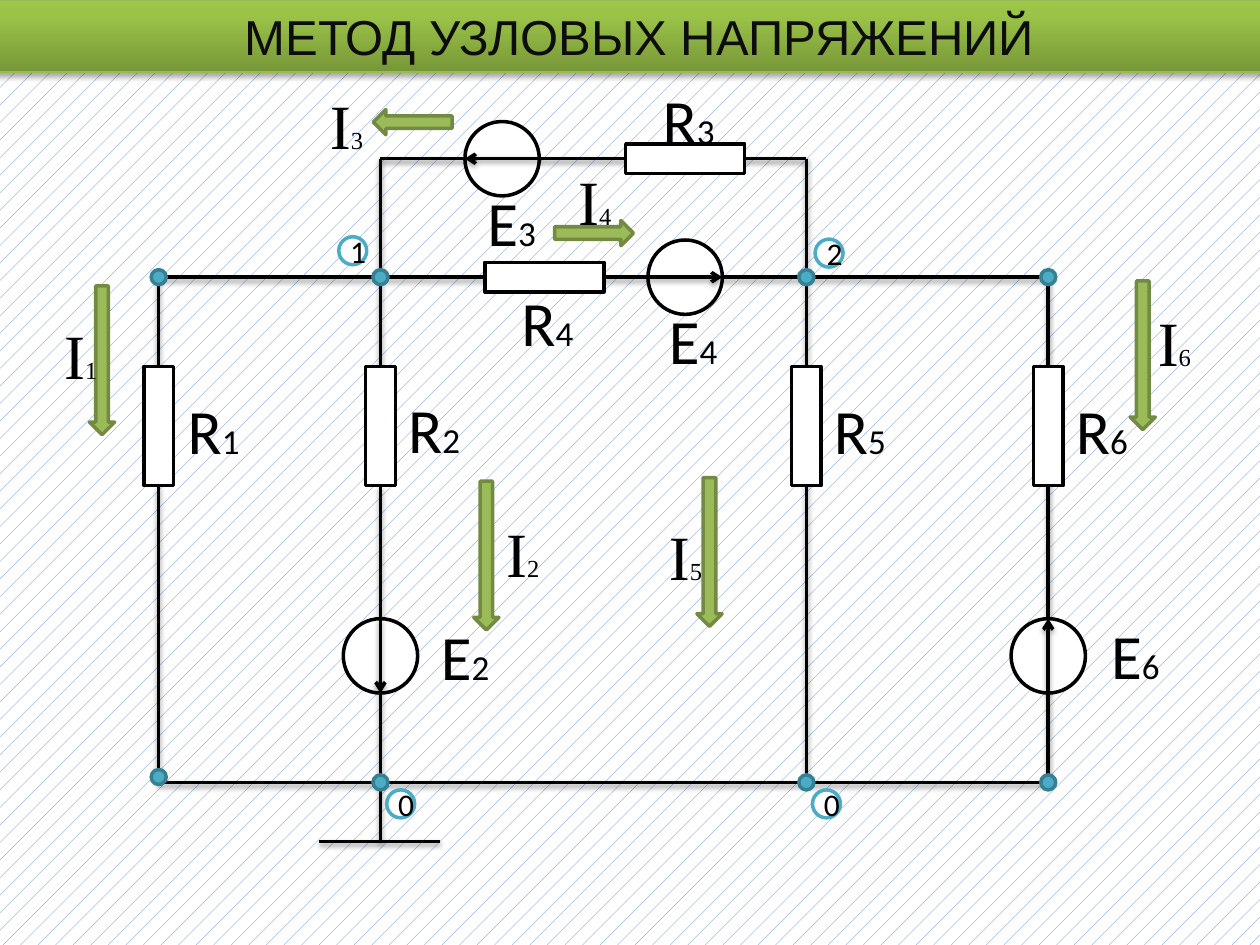
from copy import deepcopy
from dataclasses import dataclass

from pptx import Presentation
from pptx.dml.color import RGBColor
from pptx.enum.dml import MSO_PATTERN
from pptx.enum.shapes import MSO_CONNECTOR, MSO_SHAPE
from pptx.enum.text import MSO_ANCHOR, MSO_AUTO_SIZE, PP_ALIGN
from pptx.oxml import parse_xml
from pptx.oxml.ns import nsdecls, qn
from pptx.util import Pt


@dataclass(frozen=True)
class Theme:
    ink: str = "000000"
    paper: str = "FFFFFF"
    hatch: str = "4F81BD"
    title_ink: str = "0D0D0D"
    title_edge: str = "98B955"
    title_stops: tuple = ((0, "779737"), (0.8, "9BC348"), (1, "9DC746"))
    node: str = "4BACC6"
    node_edge: str = "377F92"
    current: str = "9BBB59"
    current_edge: str = "738A42"
    title_size: int = 28
    symbol_size: int = 36
    index_size: int = 20
    current_index_size: int = 14
    badge_size: int = 18
    stroke: float = 2


THEME = Theme()

# Circuit grid: four branches, and the levels they run between
X1, X2, X5, X6 = 90.7, 217.4, 460.8, 599
TOP, MIDDLE, BOTTOM, GROUND = 90.7, 158.4, 447.1, 481
RESISTOR_W, RESISTOR_L = 17, 68
SOURCE_D, NODE_D, BADGE_D = 42.5, 8.6, 16
RESISTOR_Y, SOURCE_Y = 243.4, 374.8
R4_X, E3_X, R3_X = 311, 286.9, 391.5
E4_X = R3_X
RESISTOR_TOP, RESISTOR_END = RESISTOR_Y - RESISTOR_L / 2, RESISTOR_Y + RESISTOR_L / 2
SOURCE_R = SOURCE_D / 2
SOURCE_TOP, SOURCE_END = SOURCE_Y - SOURCE_R, SOURCE_Y + SOURCE_R

WIRES = [
    (X1, MIDDLE, X1, RESISTOR_TOP), (X1, RESISTOR_END, X1, BOTTOM),
    (X1, BOTTOM, X6, BOTTOM),
    (X2, SOURCE_END, X2, GROUND), (X2, RESISTOR_END, X2, SOURCE_TOP),
    (X2, TOP, X2, RESISTOR_TOP), (X1, MIDDLE, X6, MIDDLE),
    (X5, TOP, X5, BOTTOM), (X6, MIDDLE, X6, BOTTOM), (X2, TOP, X5, TOP),
    (X2 - 35, GROUND, X2 + 34, GROUND),
]
# Centre and rotation
RESISTORS = [(x, RESISTOR_Y, 0) for x in (X1, X2, X5, X6)]
RESISTORS += [(R4_X, MIDDLE, 90), (R3_X, TOP, 90)]
# Centre and direction of the electromotive force
SOURCES = [(X2, SOURCE_Y, 0, 1), (E4_X, MIDDLE, 1, 0),
           (X6, SOURCE_Y, 0, -1), (E3_X, TOP, -1, 0)]
NODES = [(x, MIDDLE) for x in (X1, X2, X5, X6)]
NODES += [(X1, 444), (X2, BOTTOM), (X5, BOTTOM), (X6, BOTTOM)]
# Centre, length and rotation
CURRENTS = [(235.8, 69.8, 45, 180), (277.9, 317.5, 85, 90), (58.3, 205.9, 85, 90),
            (405.4, 315.4, 85, 90), (653, 203, 85, 90), (339.5, 133.2, 45, 0)]
# Symbol, index, left and top
LABELS = [
    ("R", "1", 100.1, 220.3), ("R", "2", 226.1, 219.6), ("R", "5", 469.4, 220.3),
    ("R", "6", 607.7, 220.3), ("R", "4", 290.9, 158.4), ("R", "3", 371.5, 43.2),
    ("E", "2", 244.8, 349.2), ("E", "6", 627.8, 348.5), ("E", "4", 375.1, 168.5),
    ("E", "3", 271.4, 101.5),
    ("I", "1", 29.5, 177.1), ("I", "2", 282.2, 290.2), ("I", "5", 375.1, 292.3),
    ("I", "3", 181.4, 46.1), ("I", "6", 654.5, 169.9), ("I", "4", 323.3, 89.3),
]
LABEL_WIDTHS = {"R": 44.6, "E": 42.5, "I": 34}
BADGES = [("1", 201.6, 143.3), ("2", 473.8, 144.7),
          ("0", 229, 459.4), ("0", 472.3, 459.4)]


def rgb(value):
    return RGBColor.from_string(value)


def write(paragraph, text, *, size, font="Calibri", color=THEME.ink, align=None):
    run = paragraph.add_run()
    run.text = text
    run.font.size = Pt(size)
    run.font.name = font
    run.font.color.rgb = rgb(color)
    if align is not None:
        paragraph.alignment = align


def cast_shadow(properties, opacity, distance):
    """Put a soft downward shadow into the shape properties."""
    for effects in properties.findall(qn("a:effectLst")):
        properties.remove(effects)
    properties.append(parse_xml(
        f'<a:effectLst {nsdecls("a")}><a:outerShdw blurRad="{Pt(3.1)}" '
        f'dist="{Pt(distance)}" dir="5400000" rotWithShape="0"><a:srgbClr val="000000">'
        f'<a:alpha val="{opacity * 1000}"/></a:srgbClr></a:outerShdw></a:effectLst>'))


def add_wire(slide, x1, y1, x2, y2, arrow=False):
    wire = slide.shapes.add_connector(
        MSO_CONNECTOR.STRAIGHT, Pt(x1), Pt(y1), Pt(x2), Pt(y2))
    wire.line.color.rgb = rgb(THEME.ink)
    wire.line.width = Pt(THEME.stroke)
    if arrow:
        wire.line._get_or_add_ln().append(
            parse_xml(f'<a:tailEnd {nsdecls("a")} type="arrow"/>'))
    cast_shadow(wire._element.spPr, 38, 1.6)


def add_part(slide, kind, x, y, width, height, *, fill=THEME.paper, edge=THEME.ink,
             rotation=0):
    """Add a filled shape around the centre x, y."""
    part = slide.shapes.add_shape(
        kind, Pt(x - width / 2), Pt(y - height / 2), Pt(width), Pt(height))
    part.rotation = rotation
    part.shadow.inherit = False
    part.fill.solid()
    part.fill.fore_color.rgb = rgb(fill)
    part.line.color.rgb = rgb(edge)
    part.line.width = Pt(THEME.stroke)
    return part


def add_title(slide, text):
    banner = add_part(slide, MSO_SHAPE.RECTANGLE, 365.4, 20.6, 748, 41.2,
                      edge=THEME.title_edge)
    banner.line.width = Pt(0.75)
    banner.fill.gradient()
    banner.fill.gradient_angle = 90
    stop_list = banner._element.spPr.find(".//" + qn("a:gsLst"))
    stop_list.append(deepcopy(stop_list[-1]))
    for stop, (position, color) in zip(banner.fill.gradient_stops, THEME.title_stops):
        stop.position = position
        stop.color.rgb = rgb(color)
    cast_shadow(banner._element.spPr, 35, 1.8)
    frame = banner.text_frame
    frame.vertical_anchor = MSO_ANCHOR.TOP
    frame.auto_size = MSO_AUTO_SIZE.SHAPE_TO_FIT_TEXT
    write(frame.paragraphs[0], text, size=THEME.title_size, font="Arial",
          color=THEME.title_ink, align=PP_ALIGN.CENTER)


def add_label(slide, symbol, index, left, top):
    label = slide.shapes.add_textbox(
        Pt(left), Pt(top), Pt(LABEL_WIDTHS[symbol]), Pt(51))
    frame = label.text_frame
    frame.word_wrap = False
    frame.auto_size = MSO_AUTO_SIZE.SHAPE_TO_FIT_TEXT
    is_current = symbol == "I"
    font = "Times New Roman" if is_current else "Calibri"
    index_size = THEME.current_index_size if is_current else THEME.index_size
    write(frame.paragraphs[0], symbol, size=THEME.symbol_size, font=font)
    write(frame.paragraphs[0], index, size=index_size, font=font)


def add_badge(slide, number, x, y):
    badge = add_part(slide, MSO_SHAPE.OVAL, x, y, BADGE_D, BADGE_D, edge=THEME.node)
    badge.text_frame.vertical_anchor = MSO_ANCHOR.MIDDLE
    write(badge.text_frame.paragraphs[0], number, size=THEME.badge_size,
          align=PP_ALIGN.CENTER)


def main():
    deck = Presentation()
    deck.slide_width, deck.slide_height = Pt(720), Pt(540)
    slide = deck.slides.add_slide(deck.slide_layouts[6])
    backdrop = slide.background.fill
    backdrop.patterned()
    backdrop.pattern = MSO_PATTERN.PERCENT_5
    backdrop.fore_color.rgb = rgb(THEME.hatch)
    backdrop.back_color.rgb = rgb(THEME.paper)

    add_title(slide, "МЕТОД УЗЛОВЫХ НАПРЯЖЕНИЙ")

    # Circuit
    for wire in WIRES:
        add_wire(slide, *wire)
    for x, y, rotation in RESISTORS:
        add_part(slide, MSO_SHAPE.RECTANGLE, x, y, RESISTOR_W, RESISTOR_L,
                 rotation=rotation)
    for x, y, _, _ in SOURCES:
        add_part(slide, MSO_SHAPE.OVAL, x, y, SOURCE_D, SOURCE_D)
    for x, y in NODES:
        add_part(slide, MSO_SHAPE.OVAL, x, y, NODE_D, NODE_D,
                 fill=THEME.node, edge=THEME.node_edge)
    for x, y, dx, dy in SOURCES:
        add_wire(slide, x - dx * SOURCE_R, y - dy * SOURCE_R,
                 x + dx * SOURCE_R, y + dy * SOURCE_R, arrow=True)

    # Currents, labels and node numbers
    for x, y, length, rotation in CURRENTS:
        add_part(slide, MSO_SHAPE.RIGHT_ARROW, x, y, length, 14.4, rotation=rotation,
                 fill=THEME.current, edge=THEME.current_edge)
    for label in LABELS:
        add_label(slide, *label)
    for badge in BADGES:
        add_badge(slide, *badge)
    deck.save("out.pptx")


if __name__ == "__main__":
    main()
